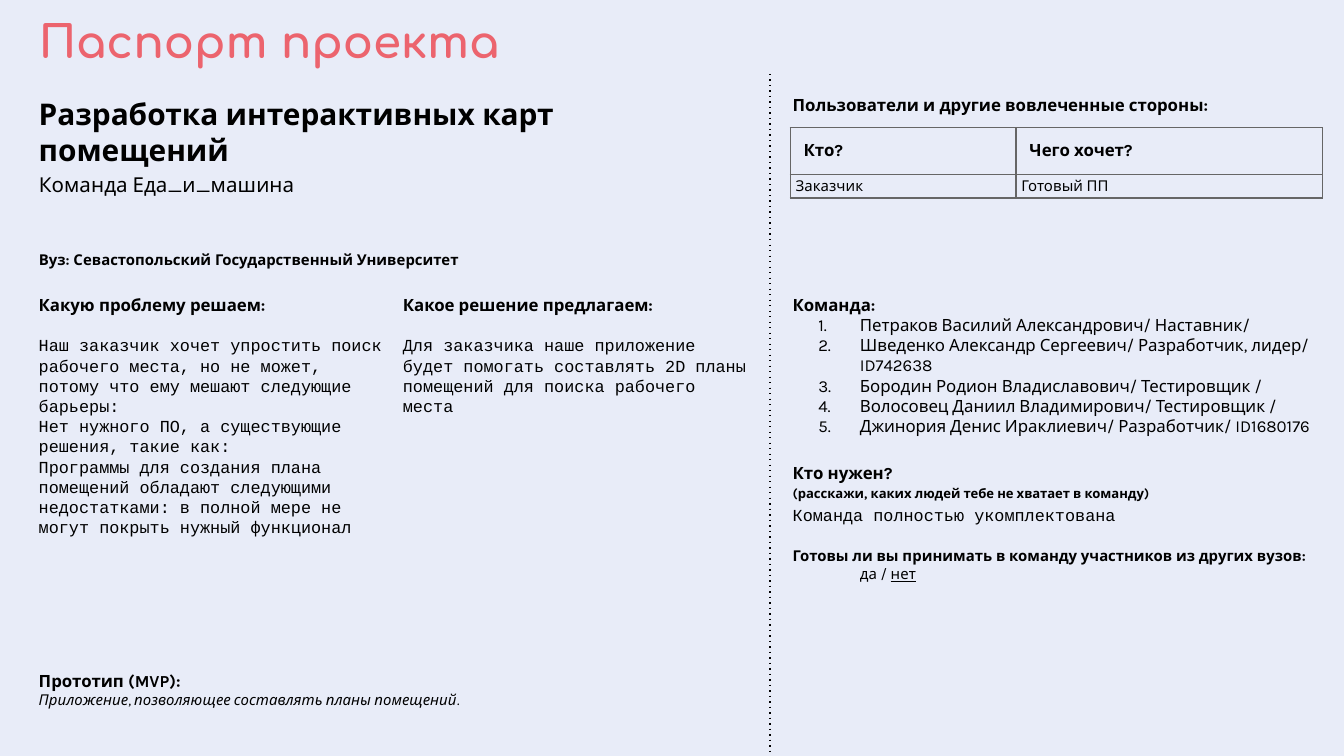
from lxml import etree
from pptx import Presentation
from pptx.dml.color import RGBColor
from pptx.enum import shapes
from pptx.oxml import parse_xml
from pptx.oxml.ns import nsdecls, qn
from pptx.util import Inches, Pt

BLACK = RGBColor(0x00, 0x00, 0x00)
CORAL = RGBColor(0xEC, 0x64, 0x6E)
GREY = RGBColor(0x66, 0x66, 0x66)
PALE = RGBColor(0xE8, 0xEC, 0xF8)

WIDTH = 10
HEIGHT = WIDTH * 9 / 16

# Run formats
TITLE = dict(name="Comfortaa", size=Pt(24), bold=True, color=CORAL)
PROJECT = dict(size=Pt(16), bold=True)
SUBTITLE = dict(size=Pt(11))
HEADING = dict(size=Pt(9), bold=True)
BODY = dict(size=Pt(9))
TYPED = dict(name="Courier New", size=Pt(9))
SMALL = dict(size=Pt(8))
SMALL_BOLD = dict(size=Pt(8), bold=True)
HINT = dict(size=Pt(7), bold=True)
ITALIC = dict(size=Pt(8), italic=True)
CHOSEN = dict(size=Pt(8), underline=True)

# Paragraph formats
GAP = dict(space_before=Pt(11))
LOOSE = dict(line_spacing=1.15)
LOOSE_GAP = dict(line_spacing=1.15, space_before=Pt(13))
WIDE_GAP = dict(space_before=Pt(12))

LEFT, MIDDLE, RIGHT = 0.19, 2.9, 5.8
COLUMN_TOP = 2.09

TEAM = [
    "Петраков Василий Александрович/ Наставник/",
    "Шведенко Александр Сергеевич/ Разработчик, лидер/ ID742638",
    "Бородин Родион Владиславович/ Тестировщик /",
    "Волосовец Даниил Владимирович/ Тестировщик /",
    "Джинория Денис Ираклиевич/ Разработчик/ ID1680176",
]

# (left, top, width, height), paragraphs: (runs, paragraph format, indent, numbered)
BOXES = [
    ((LEFT, 0, 8.52, 0.63), [([("Паспорт проекта", TITLE)],)]),
    ((LEFT, 0.61, 5.26, 0.48),
     [([("Разработка интерактивных карт помещений", PROJECT)],)]),
    ((LEFT, 1.19, 2.95, 0.31), [([("Команда Еда_и_машина", SUBTITLE)],)]),
    ((LEFT, 1.8, 4.48, 0.44),
     [([("Вуз: Севастопольский Государственный Университет", SMALL_BOLD)],)]),
    ((LEFT, COLUMN_TOP, 2.76, 2.62), [
        ([("Какую проблему решаем:", HEADING)],),
        ([("Наш заказчик хочет упростить поиск рабочего места, но не может, "
           "потому что ему мешают следующие барьеры:", TYPED)], GAP),
        ([("Нет нужного ПО, а существующие решения, такие как:", TYPED)],),
        ([("Программы для создания плана помещений обладают следующими "
           "недостатками: в полной мере не могут покрыть нужный функционал", TYPED)],),
    ]),
    ((MIDDLE, COLUMN_TOP, 2.76, 1.87), [
        ([("Какое решение предлагаем:", HEADING)],),
        ([("Для заказчика наше приложение будет помогать составлять 2D планы "
           "помещений для поиска рабочего места", TYPED)], GAP),
    ]),
    ((LEFT, 4.89, 4.94, 0.6), [
        ([("Прототип (MVP):", HEADING)],),
        ([("Приложение, позволяющее составлять планы помещений.", ITALIC)],),
    ]),
    ((RIGHT, 0.63, 4.16, 0.48),
     [([("Пользователи и другие вовлеченные стороны:", HEADING)],)]),
    ((RIGHT, COLUMN_TOP, 4.2, 2.85), [
        ([("Команда:", HEADING)],),
        *[([(member, BODY)], {}, (0.5, -0.31), True) for member in TEAM],
        ([("Кто нужен?", HEADING)], LOOSE_GAP),
        ([("(расскажи, каких людей тебе не хватает в команду)", HINT)], LOOSE),
        ([("Команда полностью укомплектована", TYPED)], LOOSE),
        ([("Готовы ли вы принимать в команду участников из других вузов:",
           SMALL_BOLD)], WIDE_GAP),
        ([("да / ", SMALL), ("нет", CHOSEN)], {}, (0.5, 0)),
    ]),
]

TABLE_AT = (5.88, 0.95)
COL_WIDTHS = [1.68, 2.28]
# row height, horizontal margin, vertical margin, format, cells
ROWS = [
    (0.34, 0.1, 0.1, HEADING, ["Кто?", "Чего хочет?"]),
    (0.17, 0.04, 0.02, SMALL, ["Заказчик", "Готовый ПП"]),
]


def set_margins(target, x, y):
    for side, value in dict(left=x, right=x, top=y, bottom=y).items():
        setattr(target, f"margin_{side}", Inches(value))


def add_run(p, text, fmt):
    r = p.add_run()
    r.text = text
    fmt = dict(name="Karla", color=BLACK) | fmt
    r.font.color.rgb = fmt.pop("color")
    for key, value in fmt.items():
        setattr(r.font, key, value)


def fill_paragraph(p, runs, fmt={}, indent=None, numbered=False):
    for key, value in fmt.items():
        setattr(p, key, value)
    for text, run_fmt in runs:
        add_run(p, text, run_fmt)
    pPr = p._p.get_or_add_pPr()
    if indent:
        for key, value in zip(("marL", "indent"), indent):
            pPr.set(key, str(Inches(value)))
    if numbered:
        color = etree.SubElement(pPr, qn("a:buClr"))
        etree.SubElement(color, qn("a:srgbClr"), val=str(BLACK))
        etree.SubElement(pPr, qn("a:buAutoNum"), type="arabicPeriod")


def add_text(slide, at, paragraphs):
    tf = slide.shapes.add_textbox(*map(Inches, at)).text_frame
    tf.word_wrap = True
    set_margins(tf, 0.1, 0.1)
    for i, paragraph in enumerate(paragraphs):
        fill_paragraph(tf.add_paragraph() if i else tf.paragraphs[0], *paragraph)


def add_borders(cell):
    tcPr = cell._tc.get_or_add_tcPr()
    for side in "LRTB":
        tcPr.append(parse_xml(
            f'<a:ln{side} {nsdecls("a")} w="{Pt(0.75)}"><a:solidFill>'
            f'<a:srgbClr val="{GREY}"/></a:solidFill></a:ln{side}>'))


def add_stakeholders(slide):
    size = sum(COL_WIDTHS), sum(row[0] for row in ROWS)
    table = slide.shapes.add_table(
        len(ROWS), len(COL_WIDTHS), *map(Inches, TABLE_AT + size)).table
    table.first_row = table.horz_banding = False
    for col, width in zip(table.columns, COL_WIDTHS):
        col.width = Inches(width)
    for row, (height, x, y, fmt, texts) in zip(table.rows, ROWS):
        row.height = Inches(height)
        for cell, text in zip(row.cells, texts):
            set_margins(cell, x, y)
            add_borders(cell)
            cell.fill.background()
            add_run(cell.text_frame.paragraphs[0], text, fmt)


def add_divider(slide, x, top, bottom):
    line = slide.shapes.add_connector(
        shapes.MSO_CONNECTOR.STRAIGHT, *map(Inches, (x, top, x, bottom)))
    line.line.color.rgb = BLACK
    line.line.width = Pt(0.75)
    etree.SubElement(line.line._get_or_add_ln(), qn("a:prstDash"), val="dot")
    etree.SubElement(line._element.spPr, qn("a:effectLst"))


def main():
    prs = Presentation()
    prs.slide_width, prs.slide_height = Inches(WIDTH), Inches(HEIGHT)
    slide = prs.slides.add_slide(prs.slide_layouts[6])
    slide.background.fill.solid()
    slide.background.fill.fore_color.rgb = PALE
    add_divider(slide, 5.73, 0.55, HEIGHT)
    for at, paragraphs in BOXES:
        add_text(slide, at, paragraphs)
    add_stakeholders(slide)
    prs.save("out.pptx")


if __name__ == "__main__":
    main()
